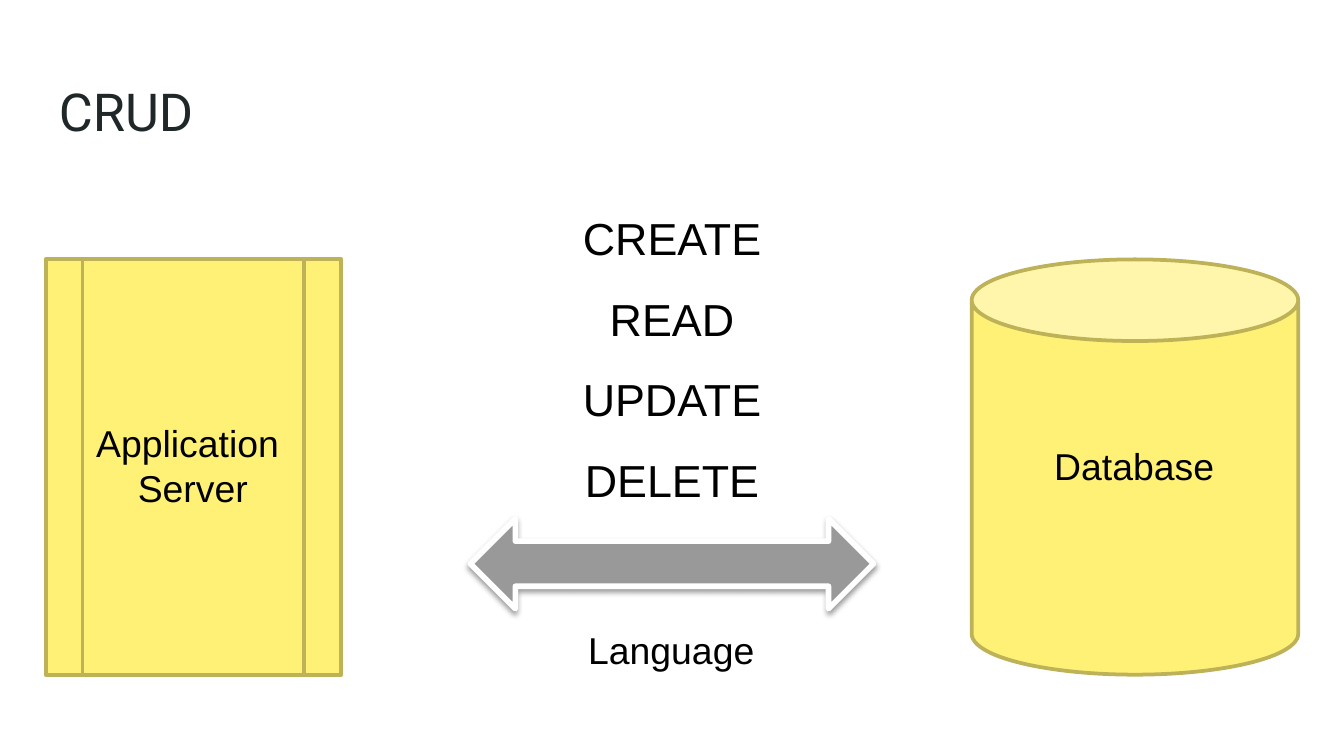
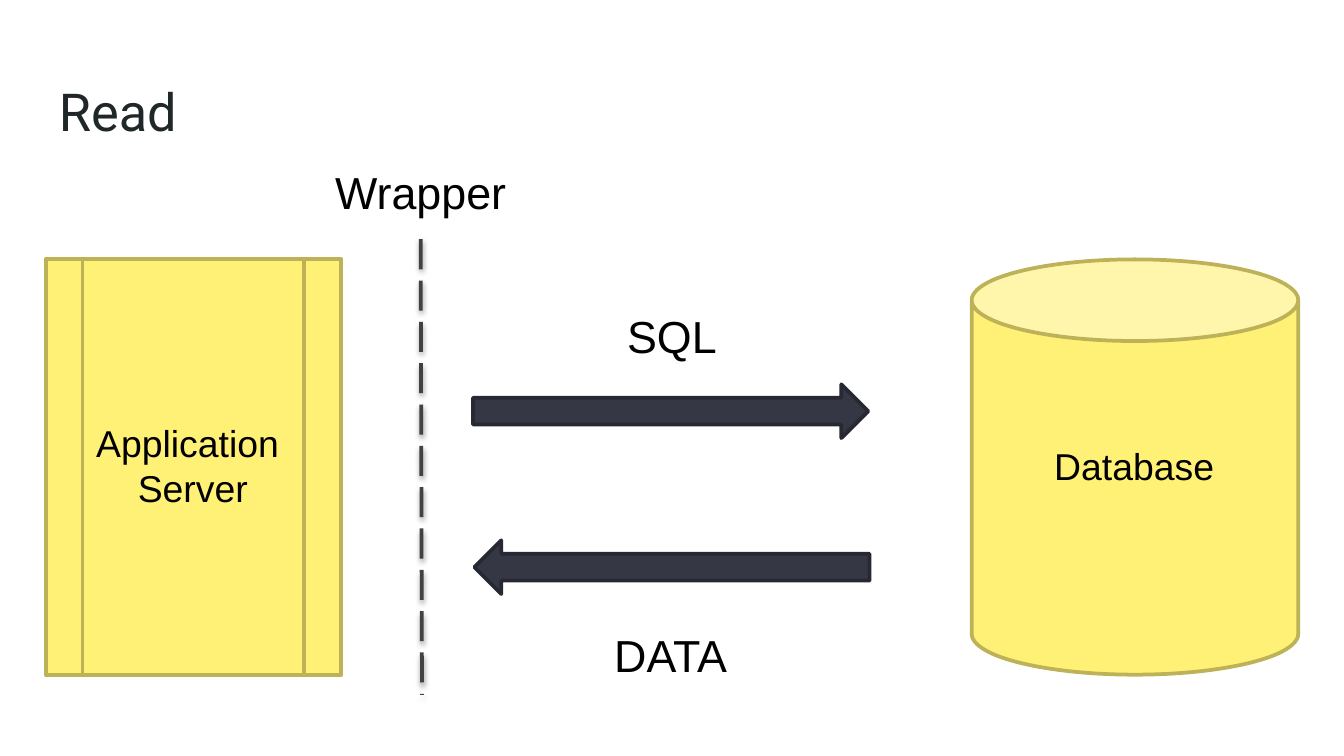
from lxml import etree
from pptx import Presentation
from pptx.dml.color import RGBColor
from pptx.enum.dml import MSO_LINE
from pptx.enum.shapes import MSO_CONNECTOR, MSO_SHAPE
from pptx.enum.text import MSO_ANCHOR, MSO_AUTO_SIZE, PP_ALIGN
from pptx.oxml.ns import qn
from pptx.util import Inches, Pt

CAN = MSO_SHAPE.CAN
SERVER = MSO_SHAPE.FLOWCHART_PREDEFINED_PROCESS
RIGHT_ARROW = MSO_SHAPE.RIGHT_ARROW
DOUBLE_ARROW = MSO_SHAPE.LEFT_RIGHT_ARROW
STRAIGHT = MSO_CONNECTOR.STRAIGHT
LONG_DASH = MSO_LINE.LONG_DASH
CENTER = PP_ALIGN.CENTER
TOP = MSO_ANCHOR.TOP
FIT_SHAPE = MSO_AUTO_SIZE.SHAPE_TO_FIT_TEXT

BLACK, WHITE, TITLE_COLOR = "000000", "FFFFFF", "202729"
YELLOW, OLIVE = "FFF176", "BDB257"
GRAY, DASH_GRAY = "999999", "424242"
NAVY, NAVY_EDGE = "353744", "272932"

SLIDE_WIDTH = Inches(10)
SLIDE_HEIGHT = SLIDE_WIDTH * 9 // 16
TITLE_AREA = (0.34, 0.49, 9.32, 0.63)

# Both ends of the exchange: preset, area, label lines, label area
END_POINTS = [
    (CAN, (7.23, 1.93, 2.43, 3.09), ["Database"], (7.74, 3.25, 1.4, 0.44)),
    (SERVER, (0.34, 1.93, 2.2, 3.09), ["Application ", "Server"], (0.61, 3.08, 1.65, 0.77)),
]

OPERATIONS = ["CREATE", "READ", "UPDATE", "DELETE"]
OPERATIONS_AREA = (3.85, 1.32, 2.3, 2.45)
EXCHANGE_AREA = (3.5, 3.86, 3, 0.67)
LANGUAGE_AREA = (4.27, 4.62, 1.45, 0.44)

# Area and rotation of the request and the reply
READ_ARROWS = [((3.52, 2.86, 2.94, 0.4), 0), ((3.53, 4.02, 2.94, 0.4), 180)]
READ_LABELS = [("SQL", 3.85, 2.05), ("DATA", 3.84, 4.42), ("Wrapper", 1.98, 0.98)]
READ_LABEL_SIZE = (2.3, 0.63)
WRAPPER_LINE = (3.13, 1.78, 3.14, 5.17)


def rgb(color):
    return RGBColor.from_string(color)


def inches(values):
    return [Inches(value) for value in values]


def add_text(slide, lines, area, size, color=BLACK, font="Arial",
             align=CENTER, spacing=None, wrap=True):
    box = slide.shapes.add_textbox(*inches(area))
    frame = box.text_frame
    frame.text = "\n".join(lines)
    frame.word_wrap = wrap
    frame.vertical_anchor = TOP
    frame.auto_size = FIT_SHAPE
    for para in frame.paragraphs:
        para.alignment = align
        para.line_spacing = spacing
        for span in para.runs:
            span.font.size = Pt(size)
            span.font.name = font
            span.font.color.rgb = rgb(color)
    return box


def add_block(slide, preset, area, fill, edge, edge_width=2):
    block = slide.shapes.add_shape(preset, *inches(area))
    block.shadow.inherit = False
    block.fill.solid()
    block.fill.fore_color.rgb = rgb(fill)
    block.line.color.rgb = rgb(edge)
    block.line.width = Pt(edge_width)
    return block


def add_soft_shadow(shape):
    """Give the shape a faint shadow straight below it."""
    properties = shape._element.spPr
    effects = properties.find(qn("a:effectLst"))
    if effects is None:
        effects = etree.SubElement(properties, qn("a:effectLst"))
    shadow = etree.SubElement(effects, qn("a:outerShdw"), blurRad=str(Pt(3.1)),
                              dist=str(Pt(1.6)), dir="5400000", rotWithShape="0")
    color = etree.SubElement(shadow, qn("a:srgbClr"), val=BLACK)
    etree.SubElement(color, qn("a:alpha"), val="38000")


def add_diagram_slide(deck, title):
    """Add a slide with its title, the server and the database."""
    slide = deck.slides.add_slide(deck.slide_layouts[6])
    slide.background.fill.solid()
    slide.background.fill.fore_color.rgb = rgb(WHITE)
    box = add_text(slide, [title], TITLE_AREA, 28, TITLE_COLOR, "Roboto", align=None)
    frame = box.text_frame
    frame.margin_left = frame.margin_right = Inches(0.1)
    frame.margin_top = frame.margin_bottom = Inches(0.1)
    for preset, area, lines, label_area in END_POINTS:
        add_block(slide, preset, area, YELLOW, OLIVE)
        add_text(slide, lines, label_area, 20, wrap=False)
    return slide


def add_crud_slide(deck):
    slide = add_diagram_slide(deck, "CRUD")
    arrow = add_block(slide, DOUBLE_ARROW, EXCHANGE_AREA, GRAY, WHITE, 3)
    add_soft_shadow(arrow)
    add_text(slide, OPERATIONS, OPERATIONS_AREA, 24, spacing=1.5)
    add_text(slide, ["Language"], LANGUAGE_AREA, 20, wrap=False)


def add_read_slide(deck):
    slide = add_diagram_slide(deck, "Read")
    for area, rotation in READ_ARROWS:
        arrow = add_block(slide, RIGHT_ARROW, area, NAVY, NAVY_EDGE)
        arrow.rotation = rotation
    wrapper = slide.shapes.add_connector(STRAIGHT, *inches(WRAPPER_LINE))
    wrapper.line.color.rgb = rgb(DASH_GRAY)
    wrapper.line.width = Pt(2)
    wrapper.line.dash_style = LONG_DASH
    add_soft_shadow(wrapper)
    for label, left, top in READ_LABELS:
        add_text(slide, [label], (left, top, *READ_LABEL_SIZE), 24, spacing=1.5)


def main():
    deck = Presentation()
    deck.slide_width = SLIDE_WIDTH
    deck.slide_height = SLIDE_HEIGHT
    add_crud_slide(deck)
    add_read_slide(deck)
    deck.save("out.pptx")


if __name__ == "__main__":
    main()
